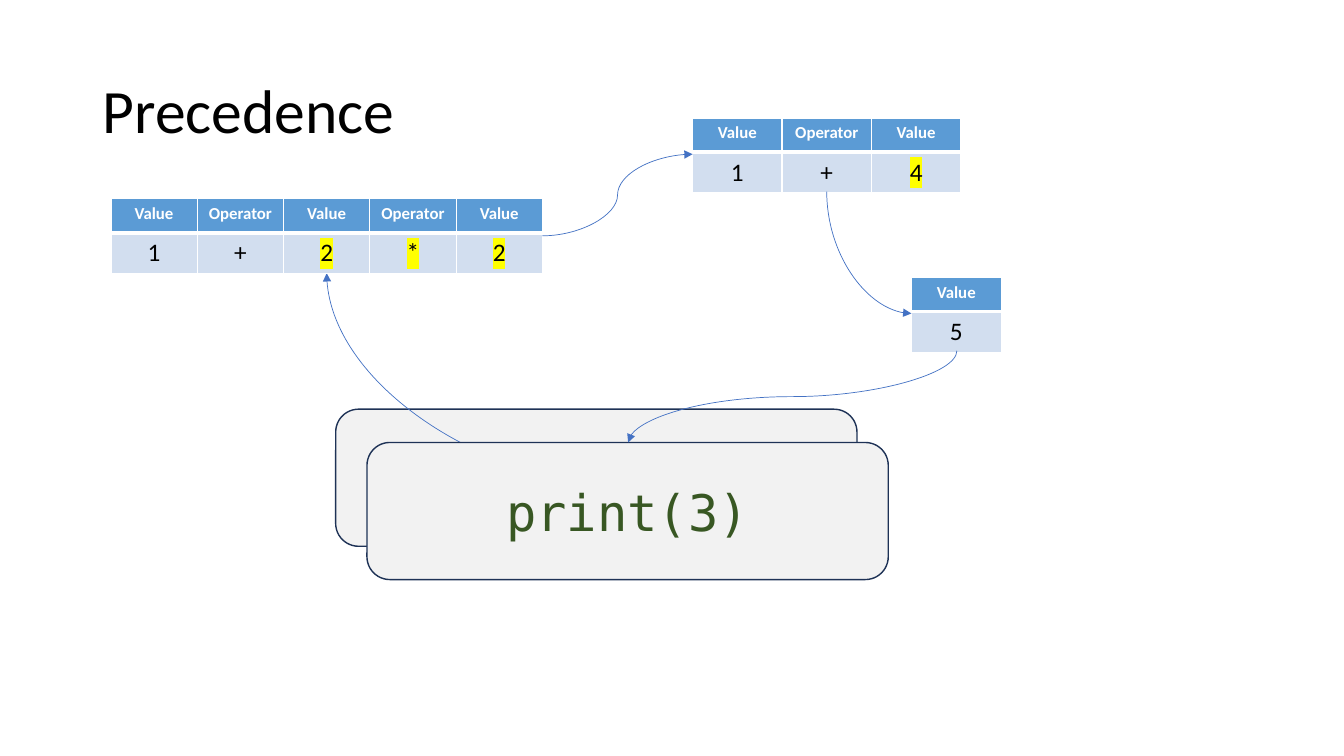
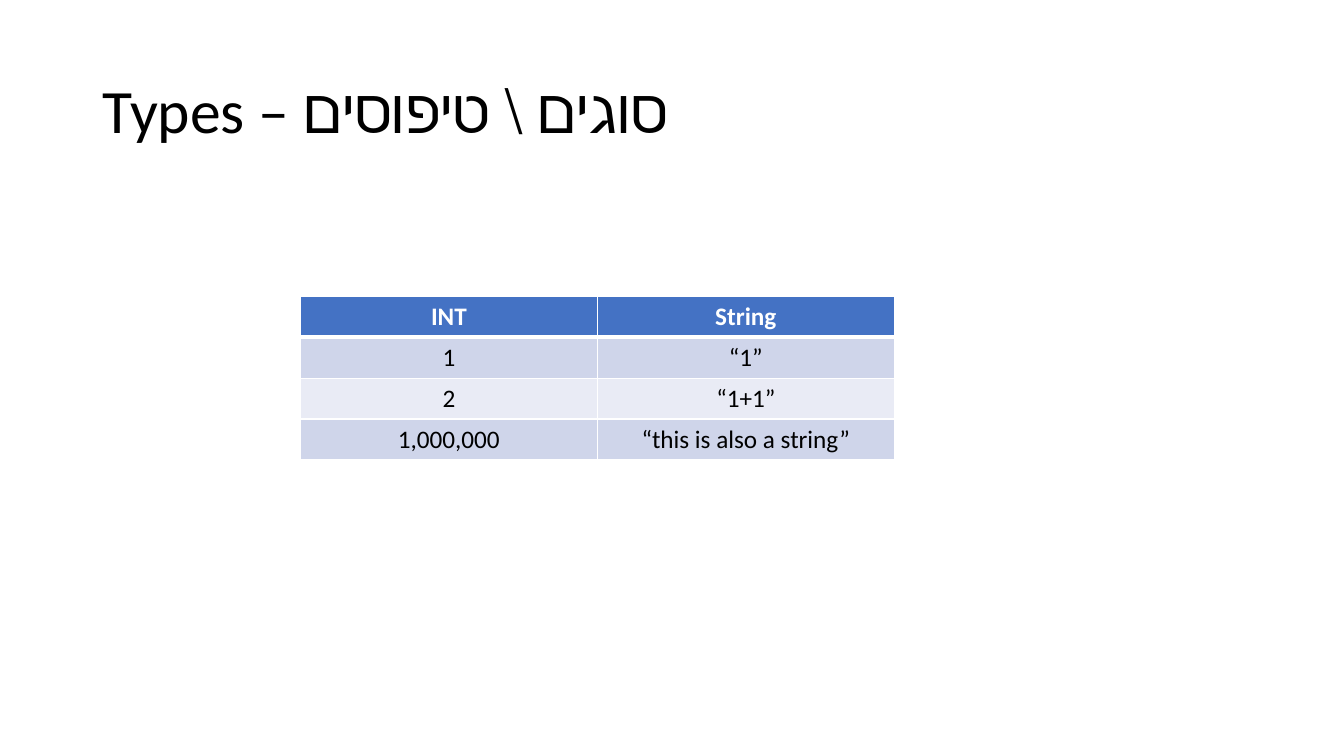
from lxml import etree
from pptx import Presentation
from pptx.dml.color import RGBColor
from pptx.enum import shapes, text
from pptx.oxml.ns import qn
from pptx.util import Inches, Pt

# Shared look
FONT, MONO = "Calibri", "DejaVu Sans Mono"
BLACK, WHITE, YELLOW = "000000", "FFFFFF", "FFFF00"
GREY, NAVY, GREEN, BLUE = "F2F2F2", "1E3256", "385723", "4472C4"
STEPS = {"head": "5B9BD5", "bands": ["D2DEEF"], "size": 12}
KINDS = {"head": BLUE, "bands": ["CFD5EA", "E9EBF5"], "size": 18}

# Slide 1: rows of each table, its place, and its highlighted columns
SUM = [["Value", "Operator", "Value", "Operator", "Value"],
       ["1", "+", "2", "*", "2"]]
PART = [["Value", "Operator", "Value"], ["1", "+", "4"]]
DONE = [["Value"], ["5"]]
TABLES = [(SUM, 1.1, 1.97, 4.28, {2, 3, 4}),
          (PART, 6.87, 1.17, 2.66, {2}),
          (DONE, 9.04, 2.75, 0.89, set())]
STEP_ROWS = [0.34, 0.4]
BACK = (3.33, 4.06)
FRONT = (3.64, 4.39)
CODE = "print(3)"

# Arrows: start, end, rotation, bends
TO_SUM = ((6.45, 4.86), (3.24, 2.71), 180, 1)
ARROWS = [((5.38, 2.34), (6.87, 1.53), 0, 2),
          ((8.2, 1.9), (9.04, 3.11), 270, 1),
          ((9.49, 3.48), (6.23, 4.39), 90, 2)]

# Slide 2
TYPES = [["INT", "String"],
         ["1", "“1”"],
         ["2", "“1+1”"],
         ["1,000,000", "“this is also a string”"]]
TYPE_ROWS = [0.4] * len(TYPES)


def rgb(code):
    return RGBColor.from_string(code)


def style(par, size, color, font=FONT, bold=False):
    for run in par.runs:
        run.font.size, run.font.name, run.font.bold = Pt(size), font, bold
        run.font.color.rgb = rgb(color)


def add_slide(deck, title):
    page = deck.slides.add_slide(deck.slide_layouts[5])
    box = page.shapes.title
    box.left, box.top = Inches(0.92), Inches(0.4)
    box.width, box.height = Inches(11.5), Inches(1.45)
    frame = box.text_frame
    frame.text = title
    frame.vertical_anchor = text.MSO_ANCHOR.MIDDLE
    par = frame.paragraphs[0]
    par.alignment, par.line_spacing = text.PP_ALIGN.LEFT, 0.9
    style(par, 44, BLACK)
    return page


def add_color(parent, color):
    etree.SubElement(parent, qn("a:srgbClr"), val=color)


def edge(cell, low):
    props = cell._tc.get_or_add_tcPr()
    for side, width in zip("LRTB", (1, 1, 1, low)):
        line = etree.SubElement(props, qn("a:ln" + side), w=str(Pt(width)))
        add_color(etree.SubElement(line, qn("a:solidFill")), WHITE)


def mark(run):
    glow = etree.Element(qn("a:highlight"))
    add_color(glow, YELLOW)
    run.font._element.find(qn("a:solidFill")).addnext(glow)


def add_grid(page, rows, x, y, width, heights, look, marked=()):
    count = len(rows[0])
    grid = page.shapes.add_table(
        len(rows), count, Inches(x), Inches(y),
        Inches(width), Inches(sum(heights))).table
    for col in grid.columns:
        col.width = Inches(width / count)
    for i, row in enumerate(rows):
        grid.rows[i].height = Inches(heights[i])
        head = i == 0
        bands = look["bands"]
        fill = look["head"] if head else bands[(i - 1) % len(bands)]
        for j, word in enumerate(row):
            cell = grid.cell(i, j)
            edge(cell, 3 if head else 1)
            cell.fill.solid()
            cell.fill.fore_color.rgb = rgb(fill)
            cell.text_frame.text = word
            par = cell.text_frame.paragraphs[0]
            par.alignment = text.PP_ALIGN.CENTER
            style(par, look["size"] if head else 18,
                  WHITE if head else BLACK, bold=head)
            if not head and j in marked:
                mark(par.runs[0])


def add_box(page, x, y):
    box = page.shapes.add_shape(
        shapes.MSO_SHAPE.ROUNDED_RECTANGLE,
        Inches(x), Inches(y), Inches(5.17), Inches(1.36))
    box.shadow.inherit = False
    box.fill.solid()
    box.fill.fore_color.rgb = rgb(GREY)
    box.line.color.rgb, box.line.width = rgb(NAVY), Pt(1)
    return box


def add_code(box, code):
    frame = box.text_frame
    frame.text = code
    frame.vertical_anchor = text.MSO_ANCHOR.MIDDLE
    frame.paragraphs[0].alignment = text.PP_ALIGN.CENTER
    style(frame.paragraphs[0], 36, GREEN, MONO)


def add_arrow(page, start, end, turn, bends):
    # Undo the rotation about the middle to find the unturned ends
    (x1, y1), (x2, y2) = start, end
    mx, my, dx, dy = (x1 + x2) / 2, (y1 + y2) / 2, x2 - x1, y2 - y1
    for _ in range(turn // 90):
        dx, dy = dy, -dx
    ends = (mx - dx / 2, my - dy / 2, mx + dx / 2, my + dy / 2)
    link = page.shapes.add_connector(
        shapes.MSO_CONNECTOR.CURVE, *map(Inches, ends))
    link.line.color.rgb, link.line.width = rgb(BLUE), Pt(0.5)
    props = link._element.spPr
    if turn:
        props.find(qn("a:xfrm")).set("rot", str(turn * 60000))
    props.find(qn("a:prstGeom")).set("prst", f"curvedConnector{bends + 1}")
    etree.SubElement(props.find(qn("a:ln")), qn("a:tailEnd"), type="triangle")
    etree.SubElement(props, qn("a:effectLst"))


def main():
    deck = Presentation()
    deck.slide_width, deck.slide_height = Inches(13.33), Inches(7.5)

    # Precedence: the front box covers the start of the first arrow
    page = add_slide(deck, "Precedence")
    add_box(page, *BACK)
    add_arrow(page, *TO_SUM)
    add_code(add_box(page, *FRONT), CODE)
    for rows, x, y, width, marked in TABLES:
        add_grid(page, rows, x, y, width, STEP_ROWS, STEPS, marked)
    for arrow in ARROWS:
        add_arrow(page, *arrow)

    # Types
    page = add_slide(deck, "Types – סוגים \\ טיפוסים")
    add_grid(page, TYPES, 2.98, 2.94, 5.89, TYPE_ROWS, KINDS)

    deck.save("out.pptx")


if __name__ == "__main__":
    main()
